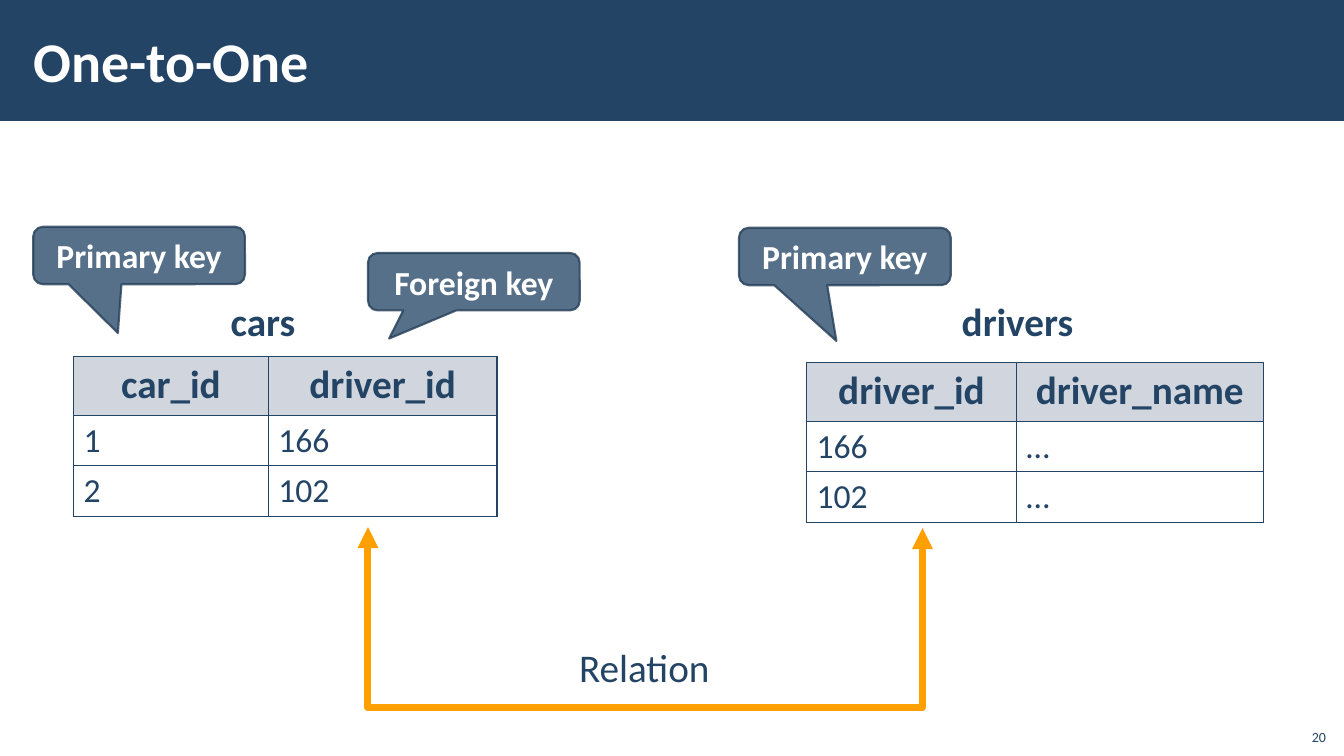
from lxml.etree import SubElement
from pptx import Presentation
from pptx.dml.color import RGBColor
from pptx.enum.shapes import MSO_CONNECTOR as Connector, MSO_SHAPE as Shape
from pptx.enum.text import MSO_ANCHOR as Anchor, MSO_AUTO_SIZE as AutoSize, PP_ALIGN as Align
from pptx.oxml.ns import qn
from pptx.util import Inches, Pt

COLORS = {
    "navy": "234465",
    "white": "FFFFFF",
    "callout": "4F6984",
    "callout_line": "253E57",
    "header": "D1D5DD",
    "arrow": "FFA000",
}


def color(name):
    return RGBColor.from_string(COLORS[name])


def write(frame, text, size=28, ink="navy", bold=False, align=Align.LEFT,
          anchor=Anchor.TOP, spacing=None):
    frame.vertical_anchor = anchor
    paragraph = frame.paragraphs[0]
    paragraph.alignment = align
    paragraph.line_spacing = spacing
    run = paragraph.add_run()
    run.text = text
    run.font.name = "Calibri"
    run.font.size = Pt(size)
    run.font.bold = bold
    run.font.color.rgb = color(ink)


def add_label(slide, box, text, wrap=False, grow=True, **style):
    shape = slide.shapes.add_textbox(*map(Inches, box))
    frame = shape.text_frame
    frame.word_wrap = wrap
    frame.auto_size = AutoSize.SHAPE_TO_FIT_TEXT if grow else AutoSize.NONE
    write(frame, text, **style)


def add_header(slide, box, text):
    left, top, width, height = box
    bar = slide.shapes.add_shape(Shape.RECTANGLE, *map(Inches, box))
    bar.shadow.inherit = False
    bar.fill.solid()
    bar.fill.fore_color.rgb = color("navy")
    bar.line.fill.background()
    title = slide.shapes.title
    title.element.addprevious(bar.element)
    title.left, title.top = Inches(left + 0.21), Inches(top + 0.11)
    title.width, title.height = Inches(10.63), Inches(0.97)
    frame = title.text_frame
    frame.auto_size = AutoSize.NONE
    frame.margin_left = frame.margin_right = Inches(0.12)
    frame.margin_top = frame.margin_bottom = Inches(0.04)
    write(frame, text, size=40, ink="white", bold=True, anchor=Anchor.MIDDLE)


def add_callout(slide, left, top, text, tip):
    shape = slide.shapes.add_shape(Shape.ROUNDED_RECTANGULAR_CALLOUT, Inches(left),
                                   Inches(top), Inches(2.1), Inches(0.57))
    shape.shadow.inherit = False
    for index, value in enumerate(tip):
        shape.adjustments[index] = value
    shape.fill.solid()
    shape.fill.fore_color.rgb = color("callout")
    shape.line.color.rgb = color("callout_line")
    shape.line.width = Pt(1.5)
    tints = shape.element.spPr.iter(qn("a:srgbClr"))
    for tint, percent in zip(list(tints), (95, 80)):
        SubElement(tint, qn("a:alpha"), val=str(percent * 1000))
    shape.text_frame.word_wrap = True
    write(shape.text_frame, text, size=24, ink="white", bold=True,
          align=Align.CENTER, anchor=Anchor.MIDDLE)


def add_borders(cell):
    properties = cell._tc.get_or_add_tcPr()
    for index, side in enumerate(("lnL", "lnR", "lnT", "lnB")):
        line = properties.makeelement(qn(f"a:{side}"), {"w": str(Pt(1))})
        fill = SubElement(line, qn("a:solidFill"))
        SubElement(fill, qn("a:srgbClr"), val=COLORS["navy"])
        properties.insert(index, line)


def add_key_table(slide, left, top, widths, rows):
    heights = (0.58, 0.5, 0.5)
    table = slide.shapes.add_table(len(rows), len(widths), Inches(left), Inches(top),
                                   Inches(sum(widths)), Inches(sum(heights))).table
    for column, width in zip(table.columns, widths):
        column.width = Inches(width)
    for row_index, (row, height, texts) in enumerate(zip(table.rows, heights, rows)):
        row.height = Inches(height)
        for cell, text in zip(row.cells, texts):
            if row_index == 0:
                cell.fill.solid()
                cell.fill.fore_color.rgb = color("header")
                cell.margin_left = cell.margin_right = Inches(0.17)
                write(cell.text_frame, text, bold=True, align=Align.CENTER, spacing=0.95)
            else:
                cell.fill.background()
                write(cell.text_frame, text, size=24)
            add_borders(cell)


def add_relation(slide, box, text):
    left, top, width, height = box
    rise = 0.01
    center_x, center_y = left + width / 2, top + rise / 2
    connector = slide.shapes.add_connector(
        Connector.ELBOW, Inches(center_x + rise / 2), Inches(center_y - width / 2),
        Inches(center_x - rise / 2), Inches(center_y + width / 2))
    connector.line.color.rgb = color("arrow")
    connector.line.width = Pt(5)
    properties = connector.element.spPr
    properties.find(qn("a:xfrm")).set("rot", str(270 * 60000))
    guides = properties.find(qn("a:prstGeom")).find(qn("a:avLst"))
    SubElement(guides, qn("a:gd"), name="adj1", fmla=f"val {round(height / rise * 100000)}")
    line = properties.find(qn("a:ln"))
    for end in ("headEnd", "tailEnd"):
        SubElement(line, qn(f"a:{end}"), type="triangle")
    SubElement(properties, qn("a:effectLst"))
    add_label(slide, (left + 1.74, top + 1.1, 2, 0.57), text, wrap=True, align=Align.CENTER)


def main():
    presentation = Presentation()
    presentation.slide_width, presentation.slide_height = Inches(13.33), Inches(7.5)
    slide = presentation.slides.add_slide(presentation.slide_layouts[5])
    add_header(slide, (0, 0, 13.33, 1.2), "One-to-One")
    add_label(slide, (2.19, 2.9, 0.85, 0.57), "cars", bold=True)
    add_label(slide, (9.44, 2.9, 1.32, 0.57), "drivers", bold=True)
    add_callout(slide, 0.33, 2.25, "Primary key", (-0.1, 1.35))
    add_callout(slide, 3.65, 2.51, "Foreign key", (-0.4, 0.99))
    add_callout(slide, 7.33, 2.26, "Primary key", (-0.04, 1.47))
    add_relation(slide, (3.65, 5.23, 5.5, 1.82), "Relation")
    add_key_table(slide, 0.73, 3.54, (1.93, 2.27),
                  (("car_id", "driver_id"), ("1", "166"), ("2", "102")))
    add_key_table(slide, 8, 3.6, (2.08, 2.45),
                  (("driver_id", "driver_name"), ("166", "…"), ("102", "…")))
    add_label(slide, (12.85, 7.12, 0.4, 0.32), "20", wrap=True, grow=False, size=10,
              align=Align.RIGHT, anchor=Anchor.BOTTOM)
    presentation.save("out.pptx")


if __name__ == "__main__":
    main()
